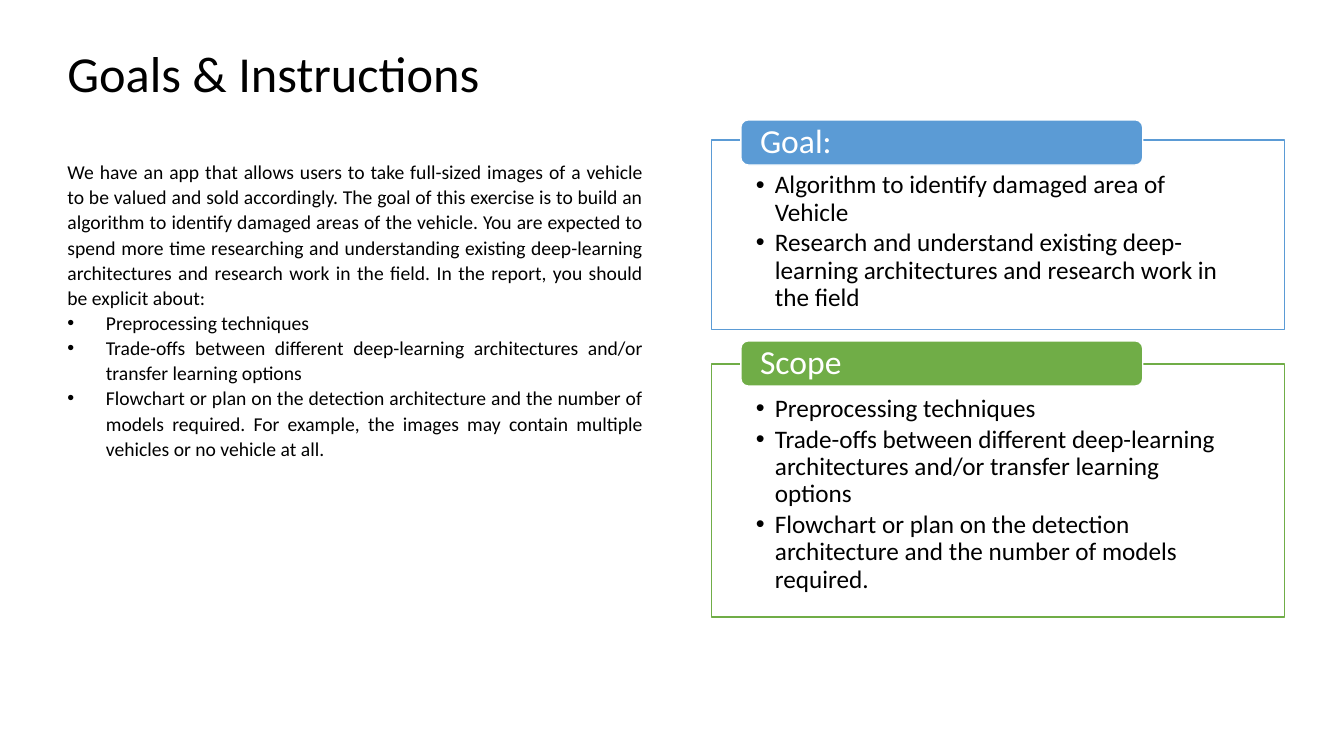
from dataclasses import dataclass

from pptx import Presentation
from pptx.dml.color import RGBColor
from pptx.enum.shapes import MSO_SHAPE
from pptx.enum.text import MSO_ANCHOR, PP_ALIGN
from pptx.oxml.ns import qn
from pptx.util import Cm, Pt
from lxml import etree


@dataclass(frozen=True)
class Theme:
    font: str = "Calibri"
    ink: str = "000000"
    paper: str = "FFFFFF"
    blue: str = "5B9BD5"
    green: str = "70AD47"
    title: int = 36
    heading: int = 24
    card: int = 18
    body: int = 14


class SlideBuilder:
    def __init__(self, slide, theme):
        self.slide = slide
        self.theme = theme

    def frame(self, shape, insets=(0.25, 0.13, 0.25, 0.13), anchor=MSO_ANCHOR.TOP):
        frame = shape.text_frame
        frame.word_wrap = True
        frame.vertical_anchor = anchor
        (frame.margin_left, frame.margin_top,
         frame.margin_right, frame.margin_bottom) = map(Cm, insets)
        return frame

    def add_paragraphs(self, frame, texts, size, color=None, spacing=0.9,
                       align=PP_ALIGN.LEFT, after=0, hang=0, first_bullet=0):
        """Fill a frame; paragraphs from first_bullet on hang from a bullet if hang is set."""
        for i, text in enumerate(texts):
            para = frame.paragraphs[0] if i == 0 else frame.add_paragraph()
            para.alignment = align
            para.line_spacing = spacing
            para.space_after = Pt(after)
            run = para.add_run()
            run.text = text
            run.font.name = self.theme.font
            run.font.size = Pt(size)
            run.font.color.rgb = RGBColor.from_string(color or self.theme.ink)
            if hang and i >= first_bullet:
                props = para._p.get_or_add_pPr()
                props.set("marL", str(Cm(hang)))
                props.set("indent", str(-Cm(hang)))
                etree.SubElement(props, qn("a:buFont")).set("typeface", "Arial")
                etree.SubElement(props, qn("a:buChar")).set("char", "•")

    def text(self, box, texts, size, anchor=MSO_ANCHOR.TOP, **style):
        shape = self.slide.shapes.add_textbox(*map(Cm, box))
        self.add_paragraphs(self.frame(shape, anchor=anchor), texts, size, **style)

    def panel(self, kind, box, fill, line):
        shape = self.slide.shapes.add_shape(kind, *map(Cm, box))
        shape.shadow.inherit = False
        shape.fill.solid()
        shape.fill.fore_color.rgb = RGBColor.from_string(fill)
        shape.line.color.rgb = RGBColor.from_string(line)
        shape.line.width = Pt(1)
        return shape

    def card(self, top, height, tag_top, color, heading, points):
        """Outlined box of bullets with a coloured heading tag over its top edge."""
        theme = self.theme
        box = self.panel(MSO_SHAPE.RECTANGLE, (17.93, top, 14.45, height), theme.paper, color)
        rgb = box._element.spPr.find(qn("a:solidFill")).find(qn("a:srgbClr"))
        etree.SubElement(rgb, qn("a:alpha")).set("val", "90000")
        self.add_paragraphs(self.frame(box, (1.12, 0.81, 1.12, 0.36)), points, theme.card,
                            after=2.5, hang=0.48)
        tag = self.panel(MSO_SHAPE.ROUNDED_RECTANGLE, (18.67, tag_top, 10.13, 1.14),
                         color, theme.paper)
        self.add_paragraphs(self.frame(tag, (0.43, 0, 0.43, 0), MSO_ANCHOR.MIDDLE),
                            [heading], theme.heading, color=theme.paper)


theme = Theme()
prs = Presentation()
prs.slide_width, prs.slide_height = Cm(33.87), Cm(19.05)
page = SlideBuilder(prs.slides.add_slide(prs.slide_layouts[6]), theme)

PREPROCESSING = "Preprocessing techniques"
TRADE_OFFS = ("Trade-offs between different deep-learning architectures "
              "and/or transfer learning options")
FLOWCHART = ("Flowchart or plan on the detection architecture "
             "and the number of models required.")

# Goal and scope cards
page.card(3.53, 4.78, 3.02, theme.blue, "Goal:", [
    "Algorithm to identify damaged area of Vehicle",
    "Research and understand existing deep-learning architectures "
    "and research work in the field",
])
page.card(9.17, 6.38, 8.59, theme.green, "Scope", [PREPROCESSING, TRADE_OFFS, FLOWCHART])

# Title
page.text((1.45, 0.91, 29.21, 2.01), ["Goals & Instructions"], theme.title,
          anchor=MSO_ANCHOR.MIDDLE)

# Instructions
page.text((1.45, 3.86, 15.01, 12.09), [
    "We have an app that allows users to take full-sized images of a vehicle to be valued "
    "and sold accordingly. The goal of this exercise is to build an algorithm to identify "
    "damaged areas of the vehicle. You are expected to spend more time researching and "
    "understanding existing deep-learning architectures and research work in the field. "
    "In the report, you should be explicit about:",
    PREPROCESSING,
    TRADE_OFFS,
    FLOWCHART + " For example, the images may contain multiple vehicles or no vehicle at all.",
], theme.body, spacing=1.07, align=PP_ALIGN.JUSTIFY, hang=0.97, first_bullet=1)

prs.save("out.pptx")
